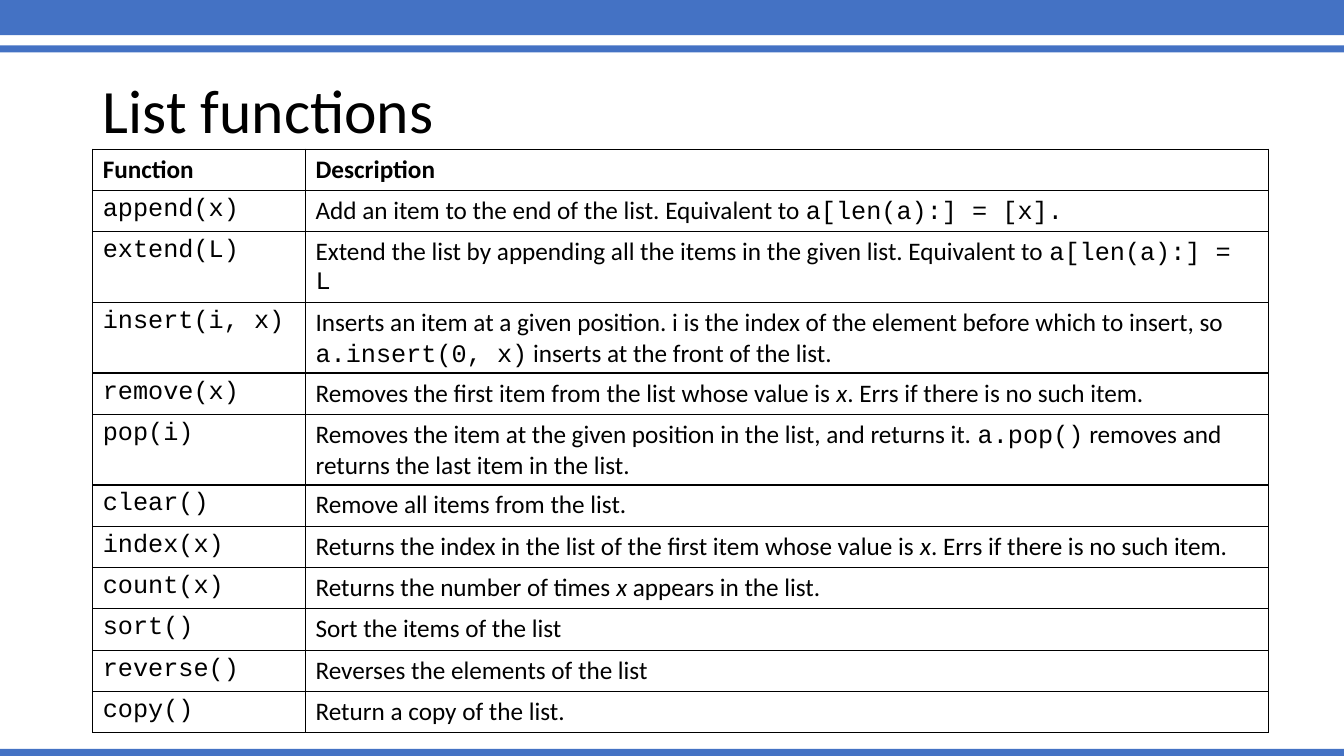
"""Build a slide that tabulates the list functions and what they do."""
from dataclasses import dataclass

from lxml.etree import SubElement
from pptx import Presentation
from pptx.dml.color import RGBColor
from pptx.enum.shapes import MSO_SHAPE
from pptx.enum.text import MSO_ANCHOR
from pptx.oxml.ns import qn
from pptx.util import Pt

PX = 9144


@dataclass(frozen=True)
class Theme:
    band: RGBColor = RGBColor(0x44, 0x72, 0xC4)
    ink: RGBColor = RGBColor(0, 0, 0)
    body_font: str = "Calibri"
    code_font: str = "Courier New"
    title_size: int = 44
    body_size: int = 18
    rule_width: int = 1


theme = Theme()


def add_run(paragraph, text, style="text", size=theme.body_size):
    run = paragraph.add_run()
    run.text = text
    run.font.name = theme.code_font if style == "code" else theme.body_font
    run.font.size = Pt(size)
    run.font.bold = style == "bold"
    run.font.italic = style == "italic"
    run.font.color.rgb = theme.ink


def add_borders(cell):
    properties = cell._tc.get_or_add_tcPr()
    for side in ("lnL", "lnR", "lnT", "lnB"):
        border = SubElement(properties, qn(f"a:{side}"), w=str(Pt(theme.rule_width)))
        fill = SubElement(border, qn("a:solidFill"))
        SubElement(fill, qn("a:srgbClr"), val=str(theme.ink))


presentation = Presentation()
presentation.slide_width = 1333 * PX
presentation.slide_height = 750 * PX
slide = presentation.slides.add_slide(presentation.slide_layouts[6])

for top, height in ((-3, 38), (45, 7), (743, 7)):
    band = slide.shapes.add_shape(MSO_SHAPE.RECTANGLE, 0, top * PX, 1333 * PX, height * PX)
    band.shadow.inherit = False
    band.fill.solid()
    band.fill.fore_color.rgb = theme.band
    band.line.fill.background()

title = slide.shapes.add_textbox(92 * PX, 40 * PX, 1150 * PX, 145 * PX).text_frame
title.word_wrap = True
title.vertical_anchor = MSO_ANCHOR.MIDDLE
title.paragraphs[0].line_spacing = 0.9
add_run(title.paragraphs[0], "List functions", size=theme.title_size)

missing_item = ". Errs if there is no such item."
functions = [
    ("append(x)", [("Add an item to the end of the list. Equivalent to ", "text"),
                   ("a[len(a):] = [x].", "code")]),
    ("extend(L)", [("Extend the list by appending all the items in the given list. "
                    "Equivalent to ", "text"),
                   ("a[len(a):] = L", "code")]),
    ("insert(i, x)", [("Inserts an item at a given position. i is the index of the element "
                       "before which to insert, so ", "text"),
                      ("a.insert(0, x)", "code"),
                      (" inserts at the front of the list.", "text")]),
    ("remove(x)", [("Removes the first item from the list whose value is ", "text"),
                   ("x", "italic"), (missing_item, "text")]),
    ("pop(i)", [("Removes the item at the given position in the list, and returns it. ", "text"),
                ("a.pop()", "code"),
                (" removes and returns the last item in the list.", "text")]),
    ("clear()", [("Remove all items from the list. ", "text")]),
    ("index(x)", [("Returns the index in the list of the first item whose value is ", "text"),
                  ("x", "italic"), (missing_item, "text")]),
    ("count(x)", [("Returns the number of times ", "text"),
                  ("x", "italic"), (" appears in the list.", "text")]),
    ("sort()", [("Sort the items of the list", "text")]),
    ("reverse()", [("Reverses the elements of the list", "text")]),
    ("copy()", [("Return a copy of the list.", "text")]),
]
rows = [([("Function", "bold")], [("Description", "bold")])]
rows += [([(name, "code")], description) for name, description in functions]

table = slide.shapes.add_table(
    len(rows), 2, 92 * PX, 148 * PX, 1166 * PX, len(rows) * 41 * PX).table
table.first_row = False
table.horz_banding = False
table.columns[0].width = 211 * PX
table.columns[1].width = 955 * PX

for row, contents in zip(table.rows, rows):
    row.height = 41 * PX
    for cell, runs in zip(row.cells, contents):
        add_borders(cell)
        cell.fill.background()
        for text, style in runs:
            add_run(cell.text_frame.paragraphs[0], text, style)

presentation.save("out.pptx")
